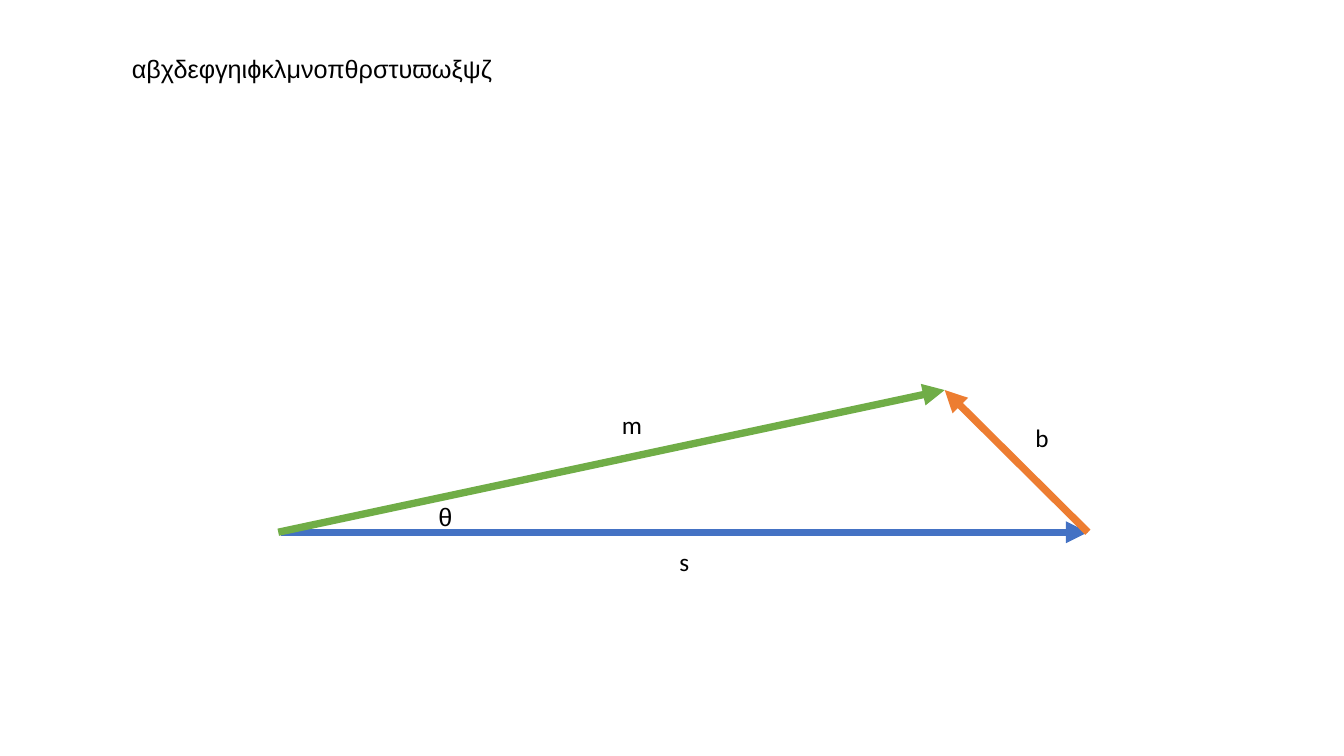
import pptx
import pptx.dml.color
import pptx.enum.shapes
import pptx.enum.text
import pptx.oxml.ns
import pptx.slide
import pptx.util
from dataclasses import dataclass
from lxml import etree

Inches = pptx.util.Inches
RGBColor = pptx.dml.color.RGBColor
qn = pptx.oxml.ns.qn

BLACK = RGBColor(0x00, 0x00, 0x00)
BLUE = RGBColor(0x44, 0x72, 0xC4)
ORANGE = RGBColor(0xED, 0x7D, 0x31)
GREEN = RGBColor(0x70, 0xAD, 0x47)

Point = tuple[float, float]


@dataclass(frozen=True)
class Arrow:
    start: Point
    end: Point
    color: RGBColor


@dataclass(frozen=True)
class Label:
    text: str
    left: float
    top: float
    width: float
    font: str = "Calibri"


RIGHT: Point = (10.79, 5.28)
APEX: Point = (9.37, 3.87)

ARROWS = [
    Arrow((2.79, 5.28), RIGHT, BLUE),
    Arrow(RIGHT, APEX, ORANGE),
    Arrow((2.76, 5.28), APEX, GREEN),
]

LABELS = [
    Label("s", 6.64, 5.37, 0.3),
    Label("b", 10.17, 4.14, 0.34),
    Label("m", 6.07, 4.01, 0.4),
    Label("αβχδεφγηιϕκλμνοπθρστυϖωξψζ", 1.21, 0.48, 3.78, "Arial"),
    Label("θ", 4.25, 4.92, 0.33, "Arial"),
]


def draw_arrow(slide: pptx.slide.Slide, arrow: Arrow) -> None:
    ends = [Inches(value) for value in arrow.start + arrow.end]
    line = slide.shapes.add_connector(
        pptx.enum.shapes.MSO_CONNECTOR.STRAIGHT, *ends
    )
    line.line.color.rgb = arrow.color
    line.line.width = pptx.util.Pt(5.25)
    props = line._element.spPr
    etree.SubElement(props.find(qn("a:ln")), qn("a:tailEnd"), type="triangle")
    etree.SubElement(props, qn("a:effectLst"))


def draw_label(slide: pptx.slide.Slide, label: Label) -> None:
    box = slide.shapes.add_textbox(
        Inches(label.left), Inches(label.top), Inches(label.width), Inches(0.4)
    )
    frame = box.text_frame
    frame.word_wrap = False
    frame.auto_size = pptx.enum.text.MSO_AUTO_SIZE.SHAPE_TO_FIT_TEXT
    para = frame.paragraphs[0]
    para.text = label.text
    para.font.name = label.font
    para.font.size = pptx.util.Pt(18)
    para.font.color.rgb = BLACK


def main() -> None:
    deck = pptx.Presentation()
    deck.slide_width = Inches(13.33)
    deck.slide_height = Inches(7.5)
    slide = deck.slides.add_slide(deck.slide_layouts.get_by_name("Blank"))
    for arrow in ARROWS:
        draw_arrow(slide, arrow)
    for label in LABELS:
        draw_label(slide, label)
    deck.save("out.pptx")


if __name__ == "__main__":
    main()
